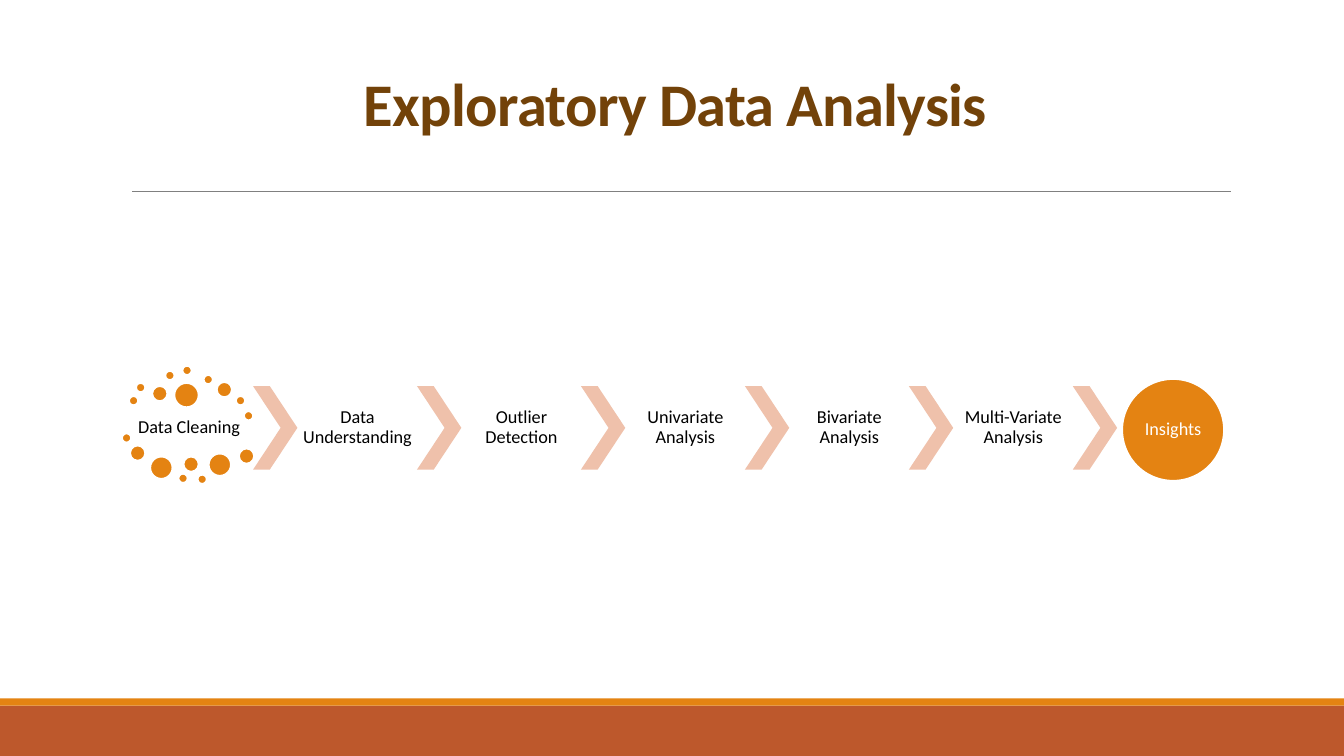
import dataclasses

import pptx
import pptx.dml.color
import pptx.enum.shapes
import pptx.enum.text
import pptx.oxml.ns
import pptx.util
from lxml import etree

SHAPE = pptx.enum.shapes.MSO_SHAPE
ANCHOR = pptx.enum.text.MSO_ANCHOR


@dataclasses.dataclass(frozen=True)
class Theme:
    font: str = "Calibri"
    title_size: float = 43.2
    label_size: float = 13
    title: str = "724209"
    text: str = "000000"
    white: str = "FFFFFF"
    orange: str = "E48312"
    rust: str = "BD582C"
    peach: str = "EFC1AB"
    rule: str = "808080"


THEME = Theme()
SLIDE_W, SLIDE_H = 1333, 750

STEPS = ["Data Understanding", "Outlier Detection", "Univariate Analysis",
         "Bivariate Analysis", "Multi-Variate Analysis"]

# Dots around the first step: left, top, diameter, relative to the cluster box
DOTS = [(7, 30, 9), (14, 17, 9), (30, 20, 15), (43, 5, 9), (60, 0, 9), (81, 9, 9),
        (94, 16, 15), (113, 30, 9), (121, 45, 9), (52, 17, 24), (0, 67, 9),
        (8, 79, 15), (28, 90, 22), (56, 107, 9), (61, 90, 15), (75, 108, 9),
        (86, 87, 22), (116, 82, 15)]


def px(n):
    """100 px to the inch."""
    return pptx.util.Emu(round(n * 9144))


def rgb(value):
    return pptx.dml.color.RGBColor.from_string(value)


def add_shape(s, kind, x, y, w, h, fill, outline=None):
    sp = s.shapes.add_shape(kind, px(x), px(y), px(w), px(h))
    sp.shadow.inherit = False
    sp.fill.solid()
    sp.fill.fore_color.rgb = rgb(fill)
    if outline:
        sp.line.color.rgb = rgb(outline)
        sp.line.width = pptx.util.Pt(1.25)
    else:
        sp.line.fill.background()
    return sp


def write(sp, text, size, color, spacing, anchor=ANCHOR.MIDDLE, inset=0, bold=False):
    tf = sp.text_frame
    tf.word_wrap = True
    tf.vertical_anchor = anchor
    tf.margin_left = tf.margin_right = tf.margin_top = tf.margin_bottom = px(inset)
    p = tf.paragraphs[0]
    p.alignment = pptx.enum.text.PP_ALIGN.CENTER
    p.line_spacing = spacing
    r = p.add_run()
    r.text = text
    r.font.name = THEME.font
    r.font.size = pptx.util.Pt(size)
    r.font.bold = bold
    r.font.color.rgb = rgb(color)
    return r


def add_label(s, text, x, y, w, h):
    sp = s.shapes.add_textbox(px(x), px(y), px(w), px(h))
    write(sp, text, THEME.label_size, THEME.text, 0.9, inset=2)


def add_footer_bands(s, x, y, w, h):
    stripe = 7
    add_shape(s, SHAPE.RECTANGLE, x, y + stripe, w, h - stripe, THEME.rust)
    add_shape(s, SHAPE.RECTANGLE, x, y, w, stripe, THEME.orange)


def add_title(s, text, x, y, w, h):
    # Title placeholder
    sp = s.shapes.title
    sp.left, sp.top, sp.width, sp.height = px(x), px(y), px(w), px(h)
    r = write(sp, text, THEME.title_size, THEME.title, 0.85, ANCHOR.BOTTOM, 5, True)
    r.font._element.set("spc", "-50")
    sp.text_frame.auto_size = pptx.enum.text.MSO_AUTO_SIZE.NONE
    # Rule below the title
    rule_x, rule_y = x + 11, y + h + 47
    line = s.shapes.add_connector(pptx.enum.shapes.MSO_CONNECTOR.STRAIGHT,
                                  px(rule_x), px(rule_y), px(rule_x + 1090), px(rule_y))
    line.line.color.rgb = rgb(THEME.rule)
    line.line.width = pptx.util.Pt(0.5)
    etree.SubElement(line._element.spPr, pptx.oxml.ns.qn("a:effectLst"))


def add_dot_cluster(s, text, x, y):
    add_label(s, text, x + 7, y + 42, 119, 39)
    for dx, dy, d in DOTS:
        add_shape(s, SHAPE.OVAL, x + dx, y + dy, d, d, THEME.orange, THEME.white)


def add_process(s, x, y):
    chevron_w, label_w, row_h, pitch = 44, 119, 83, 162.6
    add_dot_cluster(s, "Data Cleaning", x, y)
    # One chevron before each step and one before the result
    row_x, row_y = x + 130, y + 20
    for i, step in enumerate(STEPS + [None]):
        left = row_x + i * pitch
        chevron = add_shape(s, SHAPE.CHEVRON, left, row_y, chevron_w, row_h, THEME.peach)
        chevron.adjustments[0] = 0.623
        if step:
            add_label(s, step, left + chevron_w, row_y, label_w, row_h)
    # Result
    circle = add_shape(s, SHAPE.OVAL, x + 992, y + 13, 101, 101, THEME.orange, THEME.white)
    write(circle, "Insights", THEME.label_size, THEME.white, 0.9)


def main():
    prs = pptx.Presentation()
    prs.slide_width, prs.slide_height = px(SLIDE_W), px(SLIDE_H)
    s = prs.slides.add_slide(prs.slide_layouts.get_by_name("Title Only"))
    add_footer_bands(s, 0, 693, SLIDE_W, SLIDE_H - 693)
    add_title(s, "Exploratory Data Analysis", 120, 73, 1100, 70)
    add_process(s, 121, 363)
    prs.save("out.pptx")


if __name__ == "__main__":
    main()
